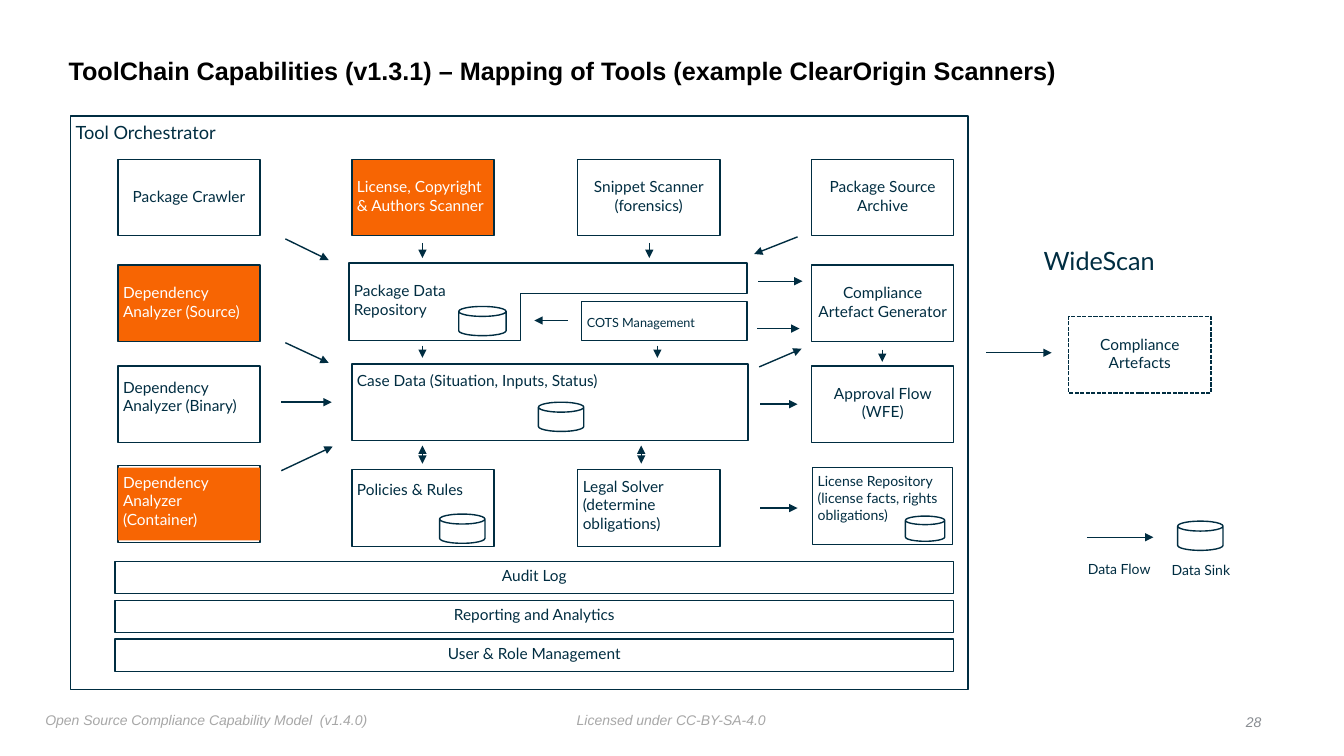
import pptx
import pptx.dml.color
import pptx.enum.dml
import pptx.enum.shapes
import pptx.enum.text
import pptx.oxml.ns
import pptx.util
from lxml import etree

Inches = pptx.util.Inches
Pt = pptx.util.Pt
SHAPE = pptx.enum.shapes.MSO_SHAPE
ANCHOR = pptx.enum.text.MSO_ANCHOR
ALIGN = {"l": pptx.enum.text.PP_ALIGN.LEFT,
         "c": pptx.enum.text.PP_ALIGN.CENTER,
         "r": pptx.enum.text.PP_ALIGN.RIGHT}

# Content: palette, grid and wording
NAVY, ORANGE, WHITE = "002D41", "F76503", "FFFFFF"
COLUMNS = [1.17, 3.49, 5.73, 8.05]
ROWS = [1.58, 2.63, 3.63, 4.66]
BOX_W, BOX_H = 1.41, 0.76
PAD = 0.05

TITLE = ("ToolChain Capabilities (v1.3.1) – Mapping of Tools "
         "(example ClearOrigin Scanners)")
ORCHESTRATOR = "Tool Orchestrator"
ORCHESTRATOR_AREA = (0.7, 1.15, 8.9, 5.69)

# Capabilities on the grid: column, row, text, fill, alignment, text top
CAPABILITIES = [
    (0, 0, "Package Crawler", WHITE, "c", 0.28),
    (1, 0, "License, Copyright & Authors Scanner", ORANGE, "l", 0.18),
    (2, 0, "Snippet Scanner (forensics)", WHITE, "c", 0.18),
    (3, 0, "Package Source Archive", WHITE, "c", 0.18),
    (0, 1, "Dependency Analyzer (Source)", ORANGE, "l", 0.18),
    (3, 1, "Compliance Artefact Generator", WHITE, "c", 0.18),
    (0, 2, "Dependency Analyzer (Binary)", WHITE, "l", 0.12),
    (3, 2, "Approval Flow (WFE)", WHITE, "c", 0.18),
    (1, 3, "Policies & Rules", WHITE, "l", 0.1),
    (2, 3, "Legal Solver (determine obligations)", WHITE, "l", 0.07),
]

# Capabilities off the grid: area, text, size, text top
WIDE_CAPABILITIES = [
    ((3.49, 3.61, 3.93, 0.76), "Case Data (Situation, Inputs, Status)", 11, 0.07),
    ((5.77, 2.99, 1.64, 0.39), "COTS Management", 9, 0.13),
    ((8.06, 4.64, 1.39, 0.76),
     "License Repository (license facts, rights obligations)", 10, 0.05),
]
CONTAINER_ANALYZER = "Dependency Analyzer (Container)"
PACKAGE_DATA = "Package Data Repository"
PACKAGE_DATA_OUTLINE = [(3.46, 2.61), (7.41, 2.61), (7.41, 2.91),
                        (5.16, 2.91), (5.16, 3.38), (3.46, 3.38)]
SERVICES = ["Audit Log", "Reporting and Analytics", "User & Role Management"]
SERVICE_TOP, SERVICE_STEP = 5.57, 0.385
ARTEFACTS = "Compliance Artefacts"

DATA_SINKS = [(4.55, 3.04, 0.47, 0.29), (5.34, 3.99, 0.45, 0.29),
              (4.36, 5.1, 0.45, 0.29), (8.98, 5.12, 0.39, 0.25),
              (11.68, 5.17, 0.45, 0.29)]

# Data flows: start x, start y, end x, end y
FLOWS = [
    (2.83, 2.37, 3.26, 2.58), (2.83, 3.4, 3.26, 3.6),
    (2.79, 3.99, 3.29, 3.99), (2.79, 4.67, 3.3, 4.43),
    (4.19, 2.41, 4.19, 2.56), (6.44, 2.41, 6.44, 2.56),
    (4.19, 3.43, 4.19, 3.55), (6.52, 3.43, 6.52, 3.55),
    (5.63, 3.18, 5.3, 3.18), (7.91, 2.35, 7.48, 2.52),
    (7.52, 2.79, 7.96, 2.79), (7.51, 3.26, 7.93, 3.26),
    (7.53, 3.64, 7.95, 3.46), (7.54, 4.01, 7.91, 4.01),
    (7.54, 5.04, 7.91, 5.04), (8.75, 3.47, 8.75, 3.59),
    (9.78, 3.5, 10.43, 3.5), (10.78, 5.33, 11.44, 5.33),
]
TWO_WAY_FLOWS = [(4.19, 4.6, 4.19, 4.42), (6.36, 4.6, 6.36, 4.42)]

# Free labels: area, text, format
FOOTER = dict(size=10, font="Arial", color="A7A7A7", italic=True)
LABELS = [
    ((10.3, 2.38, 1.4, 0.4), "WideScan", dict(size=18)),
    ((10.74, 5.51, 0.85, 0.29), "Data Flow", dict(size=10)),
    ((11.57, 5.52, 0.85, 0.29), "Data Sink", dict(size=10)),
    ((0.4, 7.01, 3.6, 0.27), "Open Source Compliance Capability Model  (v1.4.0)", FOOTER),
    ((5.67, 7.01, 2.3, 0.25), "Licensed under CC-BY-SA-4.0", FOOTER),
    ((12.06, 7.03, 0.5, 0.25), "28", {**FOOTER, "color": "888C91", "align": "r"}),
]


def rgb(value):
    return pptx.dml.color.RGBColor.from_string(value)


def area(left, top, width, height):
    return Inches(left), Inches(top), Inches(width), Inches(height)


def write(shape, text, size=11, font="Lato", color=NAVY, bold=False, italic=False,
          align="l", anchor=ANCHOR.TOP, top=PAD, right=PAD, spacing=None):
    frame = shape.text_frame
    frame.word_wrap = True
    frame.auto_size = pptx.enum.text.MSO_AUTO_SIZE.NONE
    frame.vertical_anchor = anchor
    frame.margin_left = frame.margin_bottom = Inches(PAD)
    frame.margin_top, frame.margin_right = Inches(top), Inches(right)
    paragraph = frame.paragraphs[0]
    paragraph.alignment = ALIGN[align]
    paragraph.line_spacing = spacing
    run = paragraph.add_run()
    run.text = text
    run.font.size, run.font.name = Pt(size), font
    run.font.bold, run.font.italic = bold, italic
    run.font.color.rgb = rgb(color)


def paint(shape, fill=WHITE, line=NAVY):
    shape.shadow.inherit = False
    shape.fill.solid()
    shape.fill.fore_color.rgb = rgb(fill)
    if line:
        shape.line.color.rgb = rgb(line)
        shape.line.width = Pt(1)
    else:
        shape.line.fill.background()
    return shape


def add_box(place, text="", fill=WHITE, line=NAVY, **style):
    box = paint(slide.shapes.add_shape(SHAPE.RECTANGLE, *area(*place)), fill, line)
    if text:
        write(box, text, color=WHITE if fill == ORANGE else NAVY, **style)
    return box


def add_flow(ends, heads=("tailEnd",)):
    flow = slide.shapes.add_connector(pptx.enum.shapes.MSO_CONNECTOR.STRAIGHT,
                                      *map(Inches, ends))
    flow.line.color.rgb = rgb(NAVY)
    flow.line.width = Pt(1)
    for head in heads:
        etree.SubElement(flow.line._get_or_add_ln(), pptx.oxml.ns.qn("a:" + head),
                         type="triangle")
    etree.SubElement(flow._element.spPr, pptx.oxml.ns.qn("a:effectLst"))


prs = pptx.Presentation()
prs.slide_width, prs.slide_height = Inches(13.33), Inches(7.5)
slide = prs.slides.add_slide(prs.slide_layouts[5])

# Title
title = slide.shapes.title
title.left, title.top, title.width, title.height = area(0.63, 0.39, 10.75, 0.65)
write(title, TITLE, size=18, font="Arial", color="000000", bold=True,
      anchor=ANCHOR.MIDDLE, spacing=0.9)

# Orchestrator and its capabilities
add_box(ORCHESTRATOR_AREA, ORCHESTRATOR, size=13)
for column, row, text, fill, align, top in CAPABILITIES:
    add_box((COLUMNS[column], ROWS[row], BOX_W, BOX_H), text, fill,
            align=align, top=top)
for place, text, size, top in WIDE_CAPABILITIES:
    add_box(place, text, size=size, top=top)

# Container analyzer: orange band inside an outlined box
add_box((COLUMNS[0], 4.62, BOX_W, BOX_H))
add_box((COLUMNS[0], 4.64, BOX_W, 0.72), CONTAINER_ANALYZER, ORANGE, None)

# L-shaped package data repository
builder = slide.shapes.build_freeform(*map(Inches, PACKAGE_DATA_OUTLINE[0]))
builder.add_line_segments([(Inches(x), Inches(y)) for x, y in PACKAGE_DATA_OUTLINE[1:]])
write(paint(builder.convert_to_shape()), PACKAGE_DATA, top=0.18, right=2.3)

# Shared services
for index, service in enumerate(SERVICES):
    add_box((1.14, SERVICE_TOP + index * SERVICE_STEP, 8.32, 0.32), service, align="c")

# Resulting artefacts
artefacts = add_box((10.6, 3.14, BOX_W, BOX_H), ARTEFACTS, align="c", top=0.18)
artefacts.line.dash_style = pptx.enum.dml.MSO_LINE.SQUARE_DOT

# Data sinks and flows
for place in DATA_SINKS:
    sink = paint(slide.shapes.add_shape(SHAPE.CAN, *area(*place)))
    sink.adjustments[0] = 0.34
for ends in FLOWS:
    add_flow(ends)
for ends in TWO_WAY_FLOWS:
    add_flow(ends, ("headEnd", "tailEnd"))

# Labels, legend and footer
for place, text, style in LABELS:
    write(slide.shapes.add_textbox(*area(*place)), text, **style)

prs.save("out.pptx")
